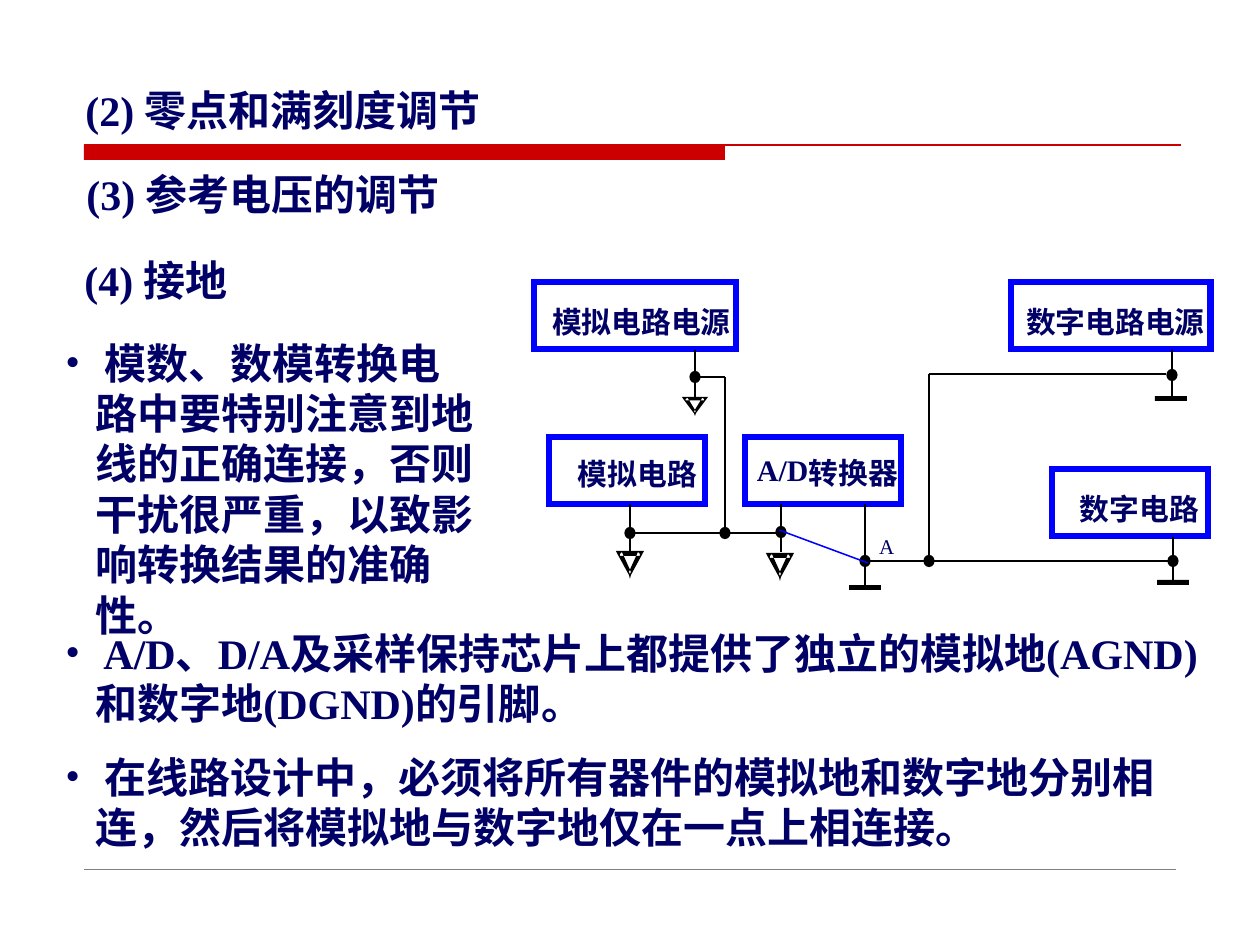
from lxml.etree import SubElement
from pptx import Presentation
from pptx.dml.color import RGBColor
from pptx.enum.shapes import MSO_CONNECTOR, MSO_SHAPE
from pptx.oxml.ns import qn
from pptx.util import Emu, Pt

EMU_PER_PX = 914400 / 126
NAVY, BLUE, RED = "000066", "0000FF", "CC0000"
BLACK, WHITE, GREY = "000000", "FFFFFF", "808080"
FONT = "Times New Roman"

HEADINGS = [
    (73, 78, 504, "(2) 零点和满刻度调节"),
    (74, 162, 504, "(3) 参考电压的调节"),
    (72, 248, 287, "(4) 接地"),
]
BULLETS = [
    (331, 433, 315, " 模数、数模转换电路中要特别注意到地线的正确连接，否则干扰很严重，以致影响转换结果的准确性。"),
    (621, 1159, 113, " A/D、D/A及采样保持芯片上都提供了独立的模拟地(AGND)和数字地(DGND)的引脚。"),
    (745, 1159, 113, " 在线路设计中，必须将所有器件的模拟地和数字地分别相连，然后将模拟地与数字地仅在一点上相连接。"),
]
BLOCKS = [(534, 282, 202), (549, 437, 156), (745, 437, 156), (1011, 282, 200), (1052, 469, 156)]
BLOCK_HEIGHT = 67
LABELS = [
    (552, 304, 184, "模拟电路电源"),
    (578, 456, 124, "模拟电路"),
    (757, 452, 56, "A/D"),
    (809, 455, 96, "转换器"),
    (1026, 304, 184, "数字电路电源"),
    (1080, 491, 124, "数字电路"),
]
WIRES = [
    (695, 350, 695, 398), (725, 377, 693, 377), (725, 377, 725, 533),
    (630, 504, 630, 552), (779, 533, 627, 533), (781, 504, 781, 552),
    (865, 504, 865, 587), (867, 561, 1171, 561), (1172, 350, 1172, 398),
    (929, 374, 929, 560), (929, 374, 1166, 374), (1173, 537, 1173, 582),
]
NODES = [(695, 377), (725, 533), (781, 532), (630, 533), (865, 561), (929, 561), (1172, 375), (1173, 561)]
DIGITAL_GROUNDS = [(849, 585), (1155, 396), (1157, 580)]
ANALOG_GROUNDS = [(682, 397, 26, 19), (616, 551, 28, 28), (766, 553, 28, 28)]
GROUND_GRID = 28
GROUND_CORE = [[(14, 23), (4, 3), (24, 3)]]
GROUND_FRAME = [
    [(6, 1), (4, 3), (4, 5), (24, 5), (24, 3), (22, 1), (13, 21), (14, 23), (15, 21)],
    [(13, 24), (14, 28), (15, 24), (26, 4), (28, 0), (0, 0), (2, 4)],
]


def px(length):
    """Convert pixels to EMU."""
    return Emu(round(length * EMU_PER_PX))


def color(code):
    """Turn a hex string into a colour."""
    return RGBColor.from_string(code)


def paint(shape, fill, line=None, weight=0):
    """Set fill and sharp-cornered outline and drop the shadow."""
    shape.shadow.inherit = False
    shape.fill.solid()
    shape.fill.fore_color.rgb = color(fill)
    if line:
        shape.line.color.rgb = color(line)
        shape.line.width = Pt(weight)
        SubElement(shape.line._get_or_add_ln(), qn("a:miter"), lim="800000")
    else:
        shape.line.fill.background()


def add_block(slide, kind, left, top, width, height, *style):
    """Add a preset shape."""
    block = slide.shapes.add_shape(kind, px(left), px(top), px(width), px(height))
    paint(block, *style)


def add_wire(slide, ends, stroke=BLACK, weight=0.88):
    """Add a straight line between two points."""
    wire = slide.shapes.add_connector(MSO_CONNECTOR.STRAIGHT, *map(px, ends))
    wire.line.color.rgb = color(stroke)
    wire.line.width = Pt(weight)
    SubElement(wire._element.spPr, qn("a:effectLst"))


def add_contours(slide, place, contours, fill):
    """Add closed contours drawn on the ground symbol grid."""
    left, top, width, height = place
    scaled = [
        [(px(left + x * width / GROUND_GRID), px(top + y * height / GROUND_GRID)) for x, y in contour]
        for contour in contours
    ]
    builder = slide.shapes.build_freeform(*scaled[0][0])
    builder.add_line_segments(scaled[0][1:])
    for contour in scaled[1:]:
        builder.move_to(*contour[0])
        builder.add_line_segments(contour[1:])
    paint(builder.convert_to_shape(), fill)


def add_text(slide, place, words, size=24, bold=True, inset=True, bullet=False):
    """Add a text box with one paragraph."""
    frame = slide.shapes.add_textbox(*map(px, place)).text_frame
    frame.word_wrap = inset
    if not inset:
        frame.margin_left = frame.margin_right = frame.margin_top = frame.margin_bottom = 0
    paragraph = frame.paragraphs[0]
    if bullet:
        properties = paragraph._p.get_or_add_pPr()
        properties.set("marL", str(px(30)))
        properties.set("indent", str(-px(30)))
        properties.set("hangingPunct", "0")
        tint = SubElement(properties, qn("a:buClr"))
        SubElement(tint, qn("a:srgbClr"), val=NAVY)
        SubElement(properties, qn("a:buFont"), typeface=FONT)
        SubElement(properties, qn("a:buChar"), char="•")
    run = paragraph.add_run()
    run.text = words
    run.font.name = FONT
    run.font.size = Pt(size)
    run.font.bold = bold
    run.font.color.rgb = color(NAVY)


def add_circuit(slide):
    """Draw the grounding circuit."""
    for left, top, width in BLOCKS:
        add_block(slide, MSO_SHAPE.RECTANGLE, left, top, width, BLOCK_HEIGHT, WHITE, BLUE, 3.88)
    for ends in WIRES:
        add_wire(slide, ends)
    for place in ANALOG_GROUNDS:
        add_contours(slide, place, GROUND_CORE, WHITE)
        add_contours(slide, place, GROUND_FRAME, BLACK)
    for left, top in DIGITAL_GROUNDS:
        add_block(slide, MSO_SHAPE.RECTANGLE, left, top, 32, 5, BLACK)
    for x, y in NODES:
        add_block(slide, MSO_SHAPE.OVAL, x - 4.5, y - 5, 9, 10, BLACK, BLACK, 1.25)
    add_wire(slide, (779, 530, 868, 563), BLUE)
    for left, top, width, words in LABELS:
        add_text(slide, (left, top, width, 35), words, size=17, inset=False)
    add_text(slide, (879, 534, 18, 25), "A", size=12, bold=False, inset=False)


def main():
    """Build and save the slide."""
    deck = Presentation()
    deck.slide_width, deck.slide_height = px(1260), px(945)
    slide = deck.slides.add_slide(deck.slide_layouts[6])
    add_block(slide, MSO_SHAPE.RECTANGLE, 84, 145, 641, 15, RED)
    add_wire(slide, (84, 145, 1181, 145), RED, 0.75)
    add_wire(slide, (84, 869, 1176, 869), GREY, 0.25)
    for left, top, width, words in HEADINGS:
        add_text(slide, (left, top, width, 63), words)
    add_circuit(slide)
    for top, width, height, words in BULLETS:
        add_text(slide, (53, top, width, height), words, bullet=True)
    deck.save("out.pptx")


if __name__ == "__main__":
    main()
